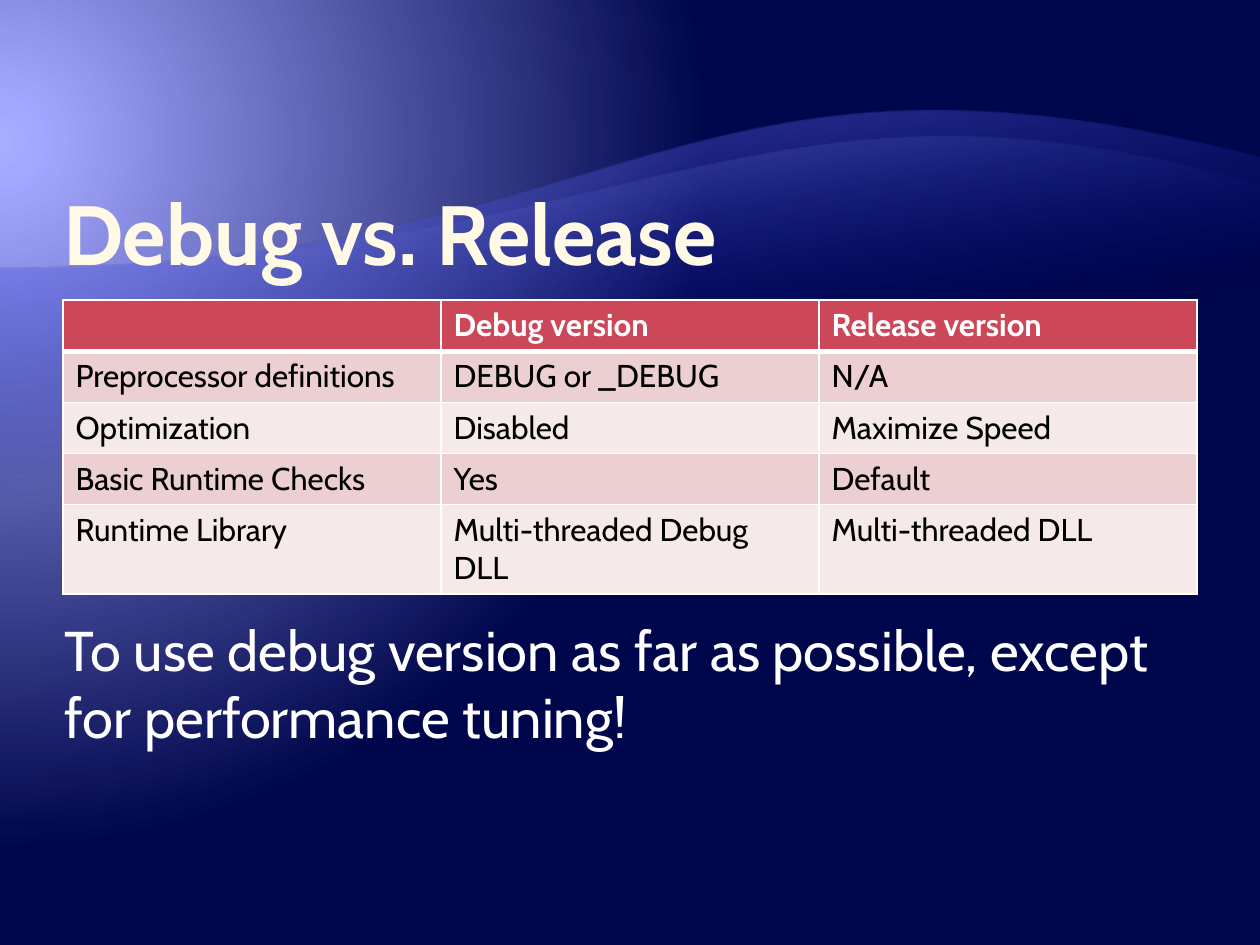
import pptx
import pptx.dml.color
import pptx.enum.text
import pptx.oxml
import pptx.oxml.ns
import pptx.util
from lxml import etree

Pt = pptx.util.Pt
qn = pptx.oxml.ns.qn
COLORS = {
    "glow": "A8ACFF", "pale": "A3A7FF", "night": "00064B",
    "deep": "000D9E", "sky": "797FFF",
    "cream": "FFF9E5", "edge": "8F8462", "white": "FFFFFF",
    "black": "000000", "head": "CC4757", "odd": "ECCFD1", "even": "F6E9EA",
}


def sub(node, tag, **attrs):
    return etree.SubElement(node, qn(tag), {k: str(v) for k, v in attrs.items()})


def paint(node, name, alpha=100):
    color = sub(node, "a:srgbClr", val=COLORS[name])
    if alpha < 100:
        sub(color, "a:alpha", val=alpha * 1000)


class Deck:
    font = "Cabin"

    def __init__(self, wide, high):
        self.prs = pptx.Presentation()
        self.prs.slide_width, self.prs.slide_height = Pt(wide), Pt(high)
        self.slide = self.prs.slides.add_slide(self.prs.slide_layouts[5])

    def rgb(self, name):
        return pptx.dml.color.RGBColor.from_string(COLORS[name])

    def style(self, frame, size, color, bold=False):
        for par in frame.paragraphs:
            par.alignment = pptx.enum.text.PP_ALIGN.LEFT
            for run in par.runs:
                font = run.font
                font.name, font.size, font.bold = self.font, Pt(size), bold
                font.color.rgb = self.rgb(color)

    def blend(self, fill, host, stops):
        """Swap the solid fill of host for a gradient and return it."""
        fill.solid()
        old = host.find(qn("a:solidFill"))
        grad = pptx.oxml.parse_xml(
            '<a:gradFill rotWithShape="1" xmlns:a='
            '"http://schemas.openxmlformats.org/drawingml/2006/main"/>')
        host.replace(old, grad)
        items = sub(grad, "a:gsLst")
        for pos, name, alpha in stops:
            paint(sub(items, "a:gs", pos=pos * 1000), name, alpha)
        return grad

    def back(self, stops, l, t, r, b):
        ground = self.slide.background
        fill = ground.fill
        fill.solid()
        host = self.slide.element.cSld.find(qn("p:bg")).find(qn("p:bgPr"))
        ring = sub(self.blend(fill, host, stops), "a:path", path="circle")
        sub(ring, "a:fillToRect", l=l * 1000, t=t * 1000, r=r * 1000, b=b * 1000)

    def wave(self, start, bends, end, base, stops, angle):
        """Area below one curve that runs from start to end."""
        pen = self.slide.shapes.build_freeform(Pt(end[0]), Pt(base))
        corners = [(start[0], base), start, end]
        pen.add_line_segments([(Pt(x), Pt(y)) for x, y in corners], close=True)
        shape = pen.convert_to_shape()
        shape.shadow.inherit = False
        shape.line.fill.background()
        props = shape.element.spPr
        grad = self.blend(shape.fill, props, stops)
        sub(grad, "a:lin", ang=angle * 60000, scaled=0)
        # Bend the upper side
        side = list(props.iter(qn("a:lnTo")))[2]
        curve = etree.Element(qn("a:cubicBezTo"))
        for x, y in bends + [end]:
            sub(curve, "a:pt", x=Pt(x) - shape.left, y=Pt(y) - shape.top)
        side.getparent().replace(side, curve)

    def title(self, text, x, y, w, h, size):
        shape = self.slide.shapes.title
        shape.left, shape.top, shape.width, shape.height = map(Pt, (x, y, w, h))
        frame = shape.text_frame
        frame.text = text
        frame.word_wrap = True
        frame.auto_size = pptx.enum.text.MSO_AUTO_SIZE.NONE
        frame.vertical_anchor = pptx.enum.text.MSO_ANCHOR.BOTTOM
        frame.margin_left = frame.margin_right = 0
        frame.margin_top = frame.margin_bottom = Pt(0.72)
        self.style(frame, size, "cream", True)
        # Hairline round the letters
        props = frame.paragraphs[0].runs[0].font._element
        line = etree.Element(qn("a:ln"), w=str(Pt(0.04)))
        paint(sub(line, "a:solidFill"), "edge")
        props.insert(0, line)
        # Bring the title in front of the waves
        self.slide.shapes._spTree.append(shape.element)

    def text(self, text, x, y, w, h, size):
        box = self.slide.shapes.add_textbox(*map(Pt, (x, y, w, h)))
        frame = box.text_frame
        frame.word_wrap = True
        frame.auto_size = pptx.enum.text.MSO_AUTO_SIZE.SHAPE_TO_FIT_TEXT
        frame.text = text
        self.style(frame, size, "white")

    def border(self, cell, low):
        props = cell._tc.get_or_add_tcPr()
        for tag, width in (("L", 1), ("R", 1), ("T", 1), ("B", low)):
            line = sub(props, "a:ln" + tag, w=Pt(width))
            paint(sub(line, "a:solidFill"), "white")

    def table(self, rows, x, y, w, h, size):
        grid = self.slide.shapes.add_table(
            len(rows), len(rows[0]), *map(Pt, (x, y, w, h))).table
        for r, row in enumerate(rows):
            shade = "head" if r == 0 else "odd" if r % 2 else "even"
            for c, text in enumerate(row):
                cell = grid.cell(r, c)
                cell.text_frame.text = text
                self.border(cell, 3 if r == 0 else 1)
                cell.fill.solid()
                cell.fill.fore_color.rgb = self.rgb(shade)
                self.style(cell.text_frame, size,
                           "black" if r else "white", r == 0)
            if r:
                # The line above matches the one under the row before
                for cell in grid.rows[r].cells:
                    top = cell._tc.tcPr.find(qn("a:lnT"))
                    top.set("w", str(Pt(3 if r == 1 else 1)))


def main():
    deck = Deck(720, 540)

    # Background glow and waves
    deck.back([(0, "glow", 100), (5, "pale", 100), (90, "night", 100)],
              20, 30, 135, 100)
    deck.wave((0, 153.4), [(360, 153.4), (384.5, 3.6)], (720, 90), 527.8,
              [(65, "deep", 0), (100, "sky", 55)], 260)
    deck.wave((0, 153.4), [(360, 153.4), (430.6, 22.3)], (720, 105.8), 458.6,
              [(65, "deep", 0), (100, "pale", 30)], 260)

    # Title
    deck.title("Debug vs. Release", 36, 42, 648, 120, 48)

    # Comparison table
    deck.table([
        ("", "Debug version", "Release version"),
        ("Preprocessor definitions", "DEBUG or _DEBUG", "N/A"),
        ("Optimization", "Disabled", "Maximize Speed"),
        ("Basic Runtime Checks", "Yes", "Default"),
        ("Runtime Library", "Multi-threaded Debug DLL", "Multi-threaded DLL"),
    ], 36, 171.5, 648, 146, 18)

    # Advice
    deck.text("To use debug version as far as possible, "
              "except for performance tuning!", 30, 348, 654, 85, 32)

    deck.prs.save("out.pptx")


if __name__ == "__main__":
    main()
